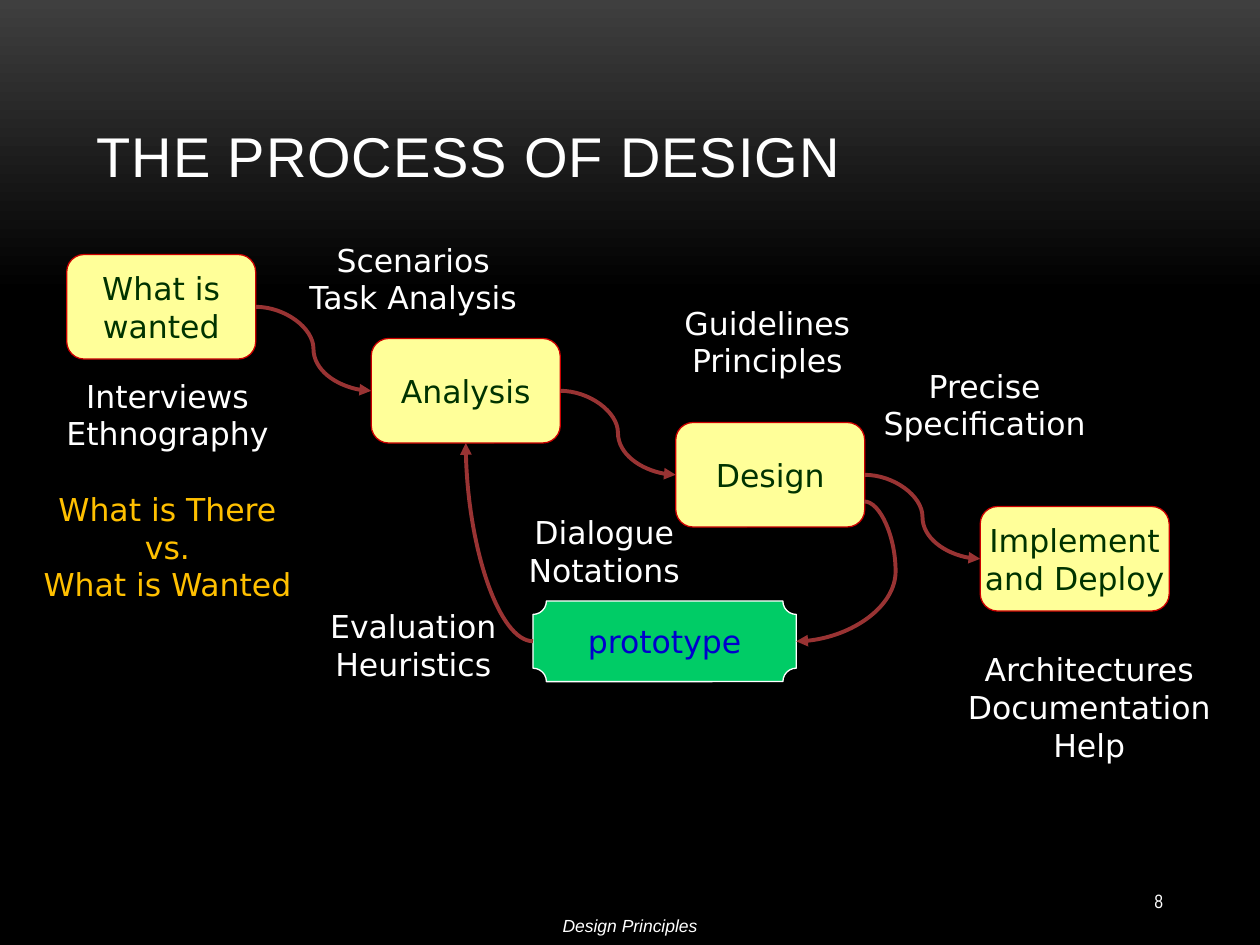
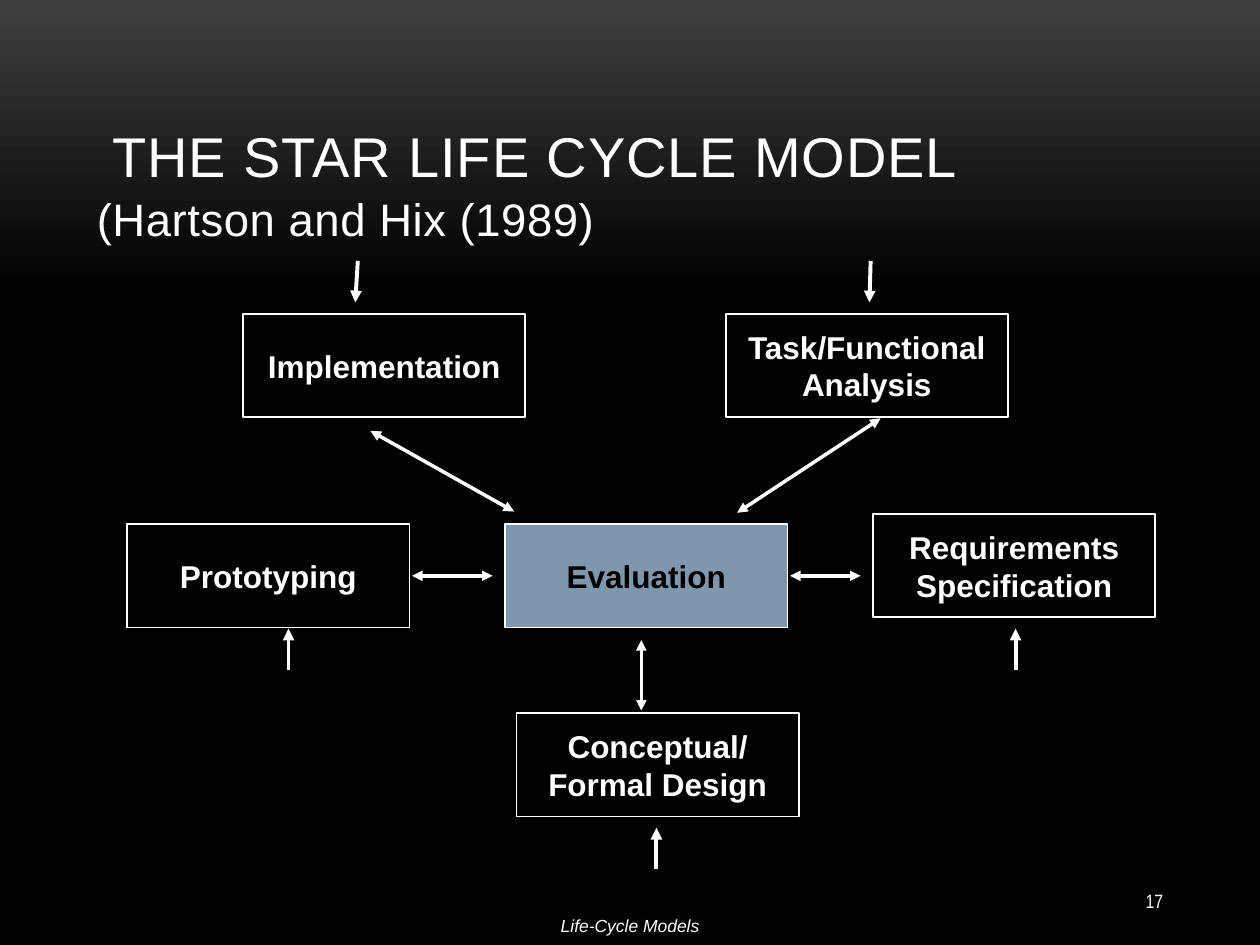
from pptx import Presentation
from pptx.util import Inches, Pt
from pptx.dml.color import RGBColor
from pptx.enum import shapes, text
from pptx.oxml import parse_xml
from pptx.oxml.ns import nsdecls, qn

KIND = shapes.MSO_SHAPE
LINK = shapes.MSO_CONNECTOR
ALIGN = text.PP_ALIGN
ANCHOR = text.MSO_ANCHOR


class Theme:
    white, black, smoke = "FFFFFF", "000000", "3F3F3F"
    cream, red, pine = "FFFF99", "CC0000", "003300"
    green, blue, rust = "00CC66", "0000CC", "993333"
    gold, steel = "FFC000", "7E97AD"
    sans, narrow, wide = "Arial", "Arial Narrow", "DejaVu Sans"
    title, sub, label, page, foot = 32, 26, 18, 11, 10
    fade = 0.31  # share of the height where the backdrop turns black


WIDE, HIGH = 10, 7.5

# Slide 1: steps descend evenly from the first corner to the last
STEPS = ["What is\vwanted", "Analysis", "Design", "Implement\nand Deploy"]
FIRST, LAST = (0.53, 2.02), (7.78, 4.02)
STEP = (1.5, 0.83)
PROTO = (4.23, 4.77, 2.09, 0.64)
NOTES = [  # words, left, top, width, height
    ("Guidelines\nPrinciples", 5.33, 2.36, 1.52, 0.71),
    ("Dialogue\vNotations", 4.09, 4.02, 1.41, 0.71),
    ("Precise\vSpecification", 6.91, 2.86, 1.81, 0.71),
    ("Architectures\nDocumentation\nHelp", 7.58, 5.11, 2.13, 1.01),
    ("Evaluation\nHeuristics", 2.52, 4.77, 1.52, 0.71),
    ("Scenarios\vTask Analysis", 2.34, 1.86, 1.88, 0.71),
]
FIELD = "Interviews\nEthnography\nWhat is There\nvs.\nWhat is Wanted"
FIELD_AT = (0.23, 2.94, 2.2, 1.92)
GOLD_ROW = 2  # first gold line of FIELD

# Slide 2
HUB = ("Evaluation", 4.01, 4.16)
POINTS = [
    ("Conceptual/\nFormal Design", 4.1, 5.66),
    ("Requirements\nSpecification", 6.93, 4.08),
    ("Prototyping", 1.01, 4.16),
    ("Task/Functional\nAnalysis", 5.76, 2.49),
    ("Implementation", 1.93, 2.49),
]
POINT = (2.24, 0.82)
SPOKES = [  # two-way arrows around the hub
    (2.94, 3.42, 4.08, 4.06), (5.85, 4.07, 6.99, 3.32),
    (3.27, 4.57, 3.91, 4.57), (6.27, 4.57, 6.83, 4.57),
    (5.09, 5.08, 5.09, 5.64),
]
ENTRIES = [  # one-way arrows from outside
    (5.21, 6.9, 5.21, 6.57), (2.29, 5.32, 2.29, 4.99),
    (8.06, 5.32, 8.06, 4.99), (2.84, 2.07, 2.82, 2.4),
    (6.91, 2.07, 6.9, 2.4),
]


def rgb(code):
    return RGBColor.from_string(code)


def inch(vals):
    return [Inches(v) for v in vals]


def write(shape, words, size, color=Theme.white, font=Theme.sans, bold=False,
          slant=False, align=ALIGN.CENTER, anchor=ANCHOR.MIDDLE, wrap=False,
          space=0):
    """Fill the shape with styled words; space is tracking in points."""
    frame = shape.text_frame
    frame.text = words
    frame.word_wrap = wrap
    frame.vertical_anchor = anchor
    for para in frame.paragraphs:
        para.alignment = align
        for run in para.runs:
            face = run.font
            face.size, face.name = Pt(size), font
            face.bold, face.italic = bold, slant
            face.color.rgb = rgb(color)
            if space:
                run._r.get_or_add_rPr().set("spc", str(int(space * 100)))
    return shape


def label(slide, at, words, size, **style):
    return write(slide.shapes.add_textbox(*inch(at)), words, size, **style)


def note(slide, at, words):
    box = label(slide, at, words, Theme.label, font=Theme.wide,
                anchor=ANCHOR.TOP)
    box.text_frame.auto_size = text.MSO_AUTO_SIZE.SHAPE_TO_FIT_TEXT
    return box


def block(slide, kind, at, fill, edge, weight, words, **style):
    shape = slide.shapes.add_shape(kind, *inch(at))
    shape.shadow.inherit = False
    shape.fill.solid()
    shape.fill.fore_color.rgb = rgb(fill)
    shape.line.color.rgb = rgb(edge)
    shape.line.width = Pt(weight)
    return write(shape, words, Theme.label, **style)


def arrow(slide, ends, color, weight, kind=LINK.STRAIGHT, both=False):
    line = slide.shapes.add_connector(kind, *inch(ends))
    line.line.color.rgb = rgb(color)
    line.line.width = Pt(weight)
    for tag in ("headEnd", "tailEnd") if both else ("tailEnd",):
        line.line._ln.append(
            parse_xml(f'<a:{tag} {nsdecls("a")} type="triangle"/>'))
    line._element.spPr.append(parse_xml(f'<a:effectLst {nsdecls("a")}/>'))
    return line


def curve(slide, ends):
    return arrow(slide, ends, Theme.rust, 2.25, LINK.CURVE)


def geom(line):
    return line._element.spPr.find(qn("a:prstGeom"))


def backdrop(deck):
    fill = deck.slide_master.background.fill
    fill.gradient()
    fill.gradient_angle = 270
    tones = [(0, Theme.smoke), (Theme.fade, Theme.black)]
    for stop, (place, tone) in zip(fill.gradient_stops, tones):
        stop.position = place
        stop.color.rgb = rgb(tone)


def page(deck, title, number, foot):
    slide = deck.slides.add_slide(deck.slide_layouts[6])
    label(slide, (0.67, 0.3, 8.67, 1.25), title, Theme.title, space=0.5,
          align=ALIGN.LEFT, anchor=ANCHOR.BOTTOM, wrap=True)
    label(slide, (8.25, 6.95, 1.08, 0.4), number, Theme.page,
          font=Theme.narrow, align=ALIGN.RIGHT, wrap=True)
    label(slide, (0, 7.21, WIDE, 0.27), foot, Theme.foot, slant=True,
          anchor=ANCHOR.TOP, wrap=True)
    return slide


def process(deck):
    slide = page(deck, "THE PROCESS OF DESIGN", "8", "Design Principles")
    gaps = len(STEPS) - 1
    boxes = []
    for i, words in enumerate(STEPS):
        spot = [a + (b - a) * i / gaps for a, b in zip(FIRST, LAST)]
        boxes.append(block(slide, KIND.ROUNDED_RECTANGLE, (*spot, *STEP),
                           Theme.cream, Theme.red, 0.75, words,
                           color=Theme.pine, font=Theme.wide))
    proto = block(slide, KIND.PLAQUE, PROTO, Theme.green, Theme.white, 0.75,
                  "prototype", color=Theme.blue, font=Theme.wide)

    for src, dst in zip(boxes, boxes[1:]):
        link = curve(slide, (0, 0, 1, 1))
        link.begin_connect(src, 3)
        link.end_connect(dst, 1)

    left, top, wide, high = PROTO
    mid = top + high / 2
    down = curve(slide, (6.86, 3.98, left + wide, mid))
    geom(down).get_or_add_avLst().append(parse_xml(
        f'<a:gd {nsdecls("a")} name="adj1" fmla="val -46000"/>'))
    back = curve(slide, (left, mid, 3.69, 3.52))
    geom(back).set("prst", "curvedConnector2")
    back.begin_connect(proto, 1)
    back.end_connect(boxes[1], 2)

    field = note(slide, FIELD_AT, FIELD)
    golden = field.text_frame.paragraphs[GOLD_ROW:]
    golden[0].space_before = Pt(21.4)
    for para in golden:
        para.runs[0].font.color.rgb = rgb(Theme.gold)
    for words, *at in NOTES:
        note(slide, at, words)


def star(deck):
    slide = page(deck, " THE STAR LIFE CYCLE MODEL", "17", "Life-Cycle Models")
    sub = label(slide, (0.67, 1.47, 8.67, 4.5), "(Hartson and Hix (1989)",
                Theme.sub, space=0.3, align=ALIGN.LEFT, anchor=ANCHOR.TOP,
                wrap=True)
    sub.text_frame.paragraphs[0].space_before = Pt(3)
    for words, *spot in [HUB] + POINTS:
        hub = words == HUB[0]
        block(slide, KIND.RECTANGLE, (*spot, *POINT),
              Theme.steel if hub else Theme.black, Theme.white, 1, words,
              color=Theme.black if hub else Theme.white, bold=True)
    for ends in SPOKES:
        arrow(slide, ends, Theme.white, 2, both=True)
    for ends in ENTRIES:
        arrow(slide, ends, Theme.white, 2.25)


def main():
    deck = Presentation()
    deck.slide_width, deck.slide_height = inch((WIDE, HIGH))
    backdrop(deck)
    process(deck)
    star(deck)
    deck.save("out.pptx")


if __name__ == "__main__":
    main()
